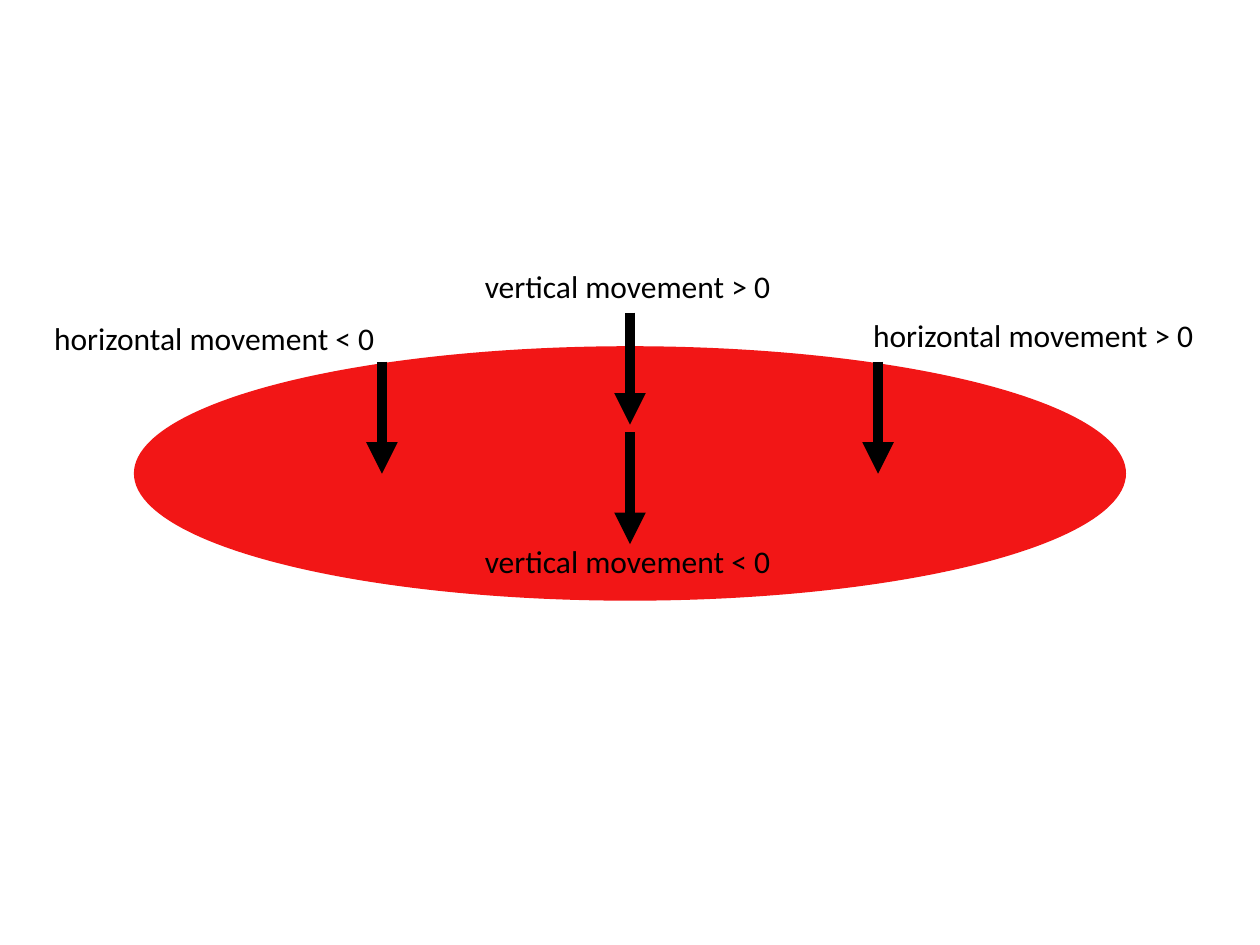
from lxml import etree
from pptx import Presentation
from pptx.dml.color import RGBColor
from pptx.enum.shapes import MSO_CONNECTOR, MSO_SHAPE
from pptx.enum.text import MSO_AUTO_SIZE
from pptx.oxml.ns import qn
from pptx.util import Cm, Pt

STRAIGHT = MSO_CONNECTOR.STRAIGHT
OVAL = MSO_SHAPE.OVAL
FIT_SHAPE = MSO_AUTO_SIZE.SHAPE_TO_FIT_TEXT
BLANK_LAYOUT = 6
COLORS = {"disc": "F21616", "ink": "000000"}


class Diagram:
    font = "Calibri"
    text_size = Pt(18)
    line_width = Pt(6)

    def __init__(self, slide):
        self.slide = slide

    def color(self, name):
        return RGBColor.from_string(COLORS[name])

    def ellipse(self, left, top, width, height):
        shape = self.slide.shapes.add_shape(
            OVAL, Cm(left), Cm(top), Cm(width), Cm(height))
        shape.shadow.inherit = False
        shape.fill.solid()
        shape.fill.fore_color.rgb = self.color("disc")
        shape.line.fill.background()

    def down_arrow(self, x, top, length):
        connector = self.slide.shapes.add_connector(
            STRAIGHT, Cm(x), Cm(top), Cm(x), Cm(top + length))
        connector.line.width = self.line_width
        connector.line.color.rgb = self.color("ink")
        line = connector.line._get_or_add_ln()
        etree.SubElement(line, qn("a:tailEnd"), type="triangle")
        etree.SubElement(connector._element.spPr, qn("a:effectLst"))

    def label(self, text, left, top, width, height=1.03):
        box = self.slide.shapes.add_textbox(
            Cm(left), Cm(top), Cm(width), Cm(height))
        frame = box.text_frame
        frame.word_wrap = True
        frame.auto_size = FIT_SHAPE
        frame.text = text
        font = frame.paragraphs[0].runs[0].font
        font.name = self.font
        font.size = self.text_size
        font.color.rgb = self.color("ink")


presentation = Presentation()
presentation.slide_width = Cm(25.4)
presentation.slide_height = Cm(19.05)
diagram = Diagram(presentation.slides.add_slide(
    presentation.slide_layouts[BLANK_LAYOUT]))

# Disc, centred on the slide width
CENTER, DISC_WIDTH = 12.7, 20
diagram.ellipse(CENTER - DISC_WIDTH / 2, 6.98, DISC_WIDTH, 5.13)

# Arrows: two on the axis, one a quarter width to each side
SIDE = DISC_WIDTH / 4
for offset, top in ((0, 6.3), (0, 8.71), (SIDE, 7.29), (-SIDE, 7.29)):
    diagram.down_arrow(CENTER + offset, top, 2.26)

# Labels
HORIZONTAL_WIDTH, VERTICAL_WIDTH, MARGIN = 7.21, 6.35, 0.84
diagram.label("horizontal movement < 0", MARGIN, 6.3, HORIZONTAL_WIDTH)
diagram.label("horizontal movement > 0",
              2 * CENTER - MARGIN - HORIZONTAL_WIDTH, 6.25, HORIZONTAL_WIDTH)
for sign, top in (("<", 10.8), (">", 5.26)):
    diagram.label(f"vertical movement {sign} 0",
                  CENTER - VERTICAL_WIDTH / 2, top, VERTICAL_WIDTH)

presentation.save("out.pptx")
